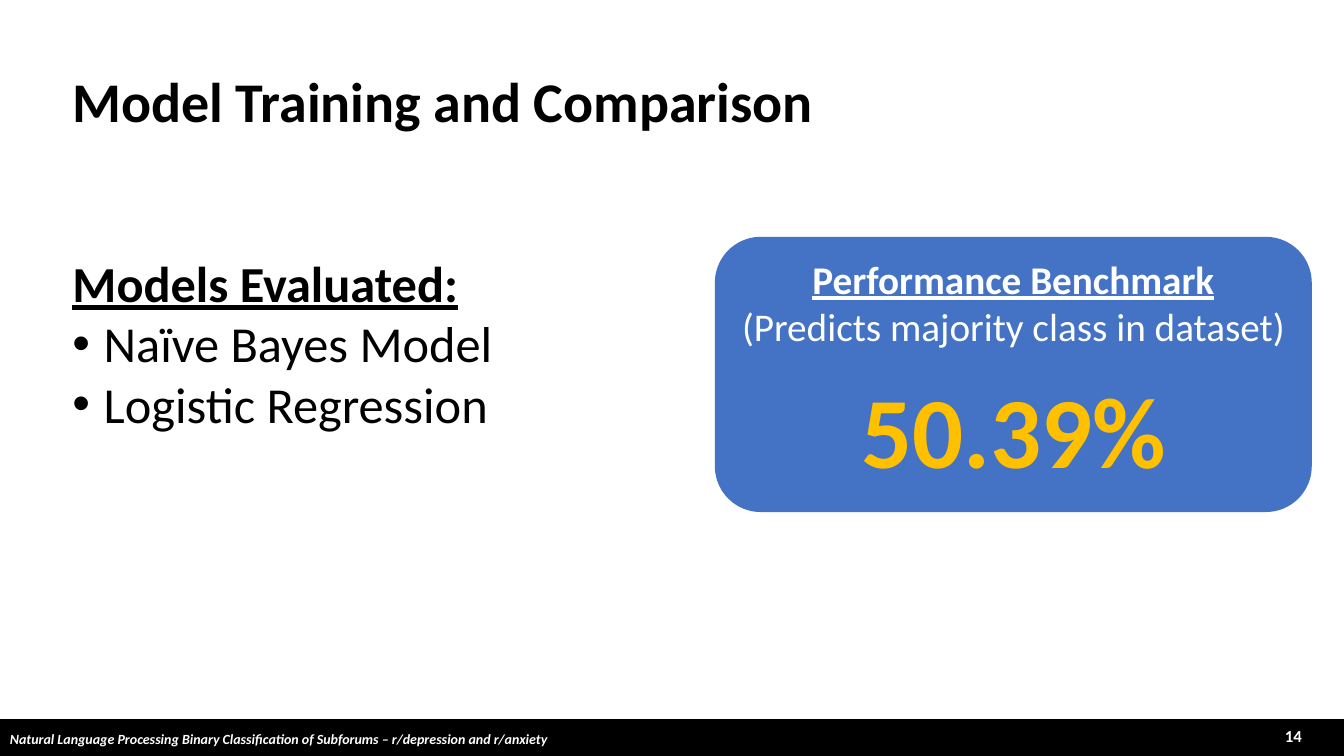
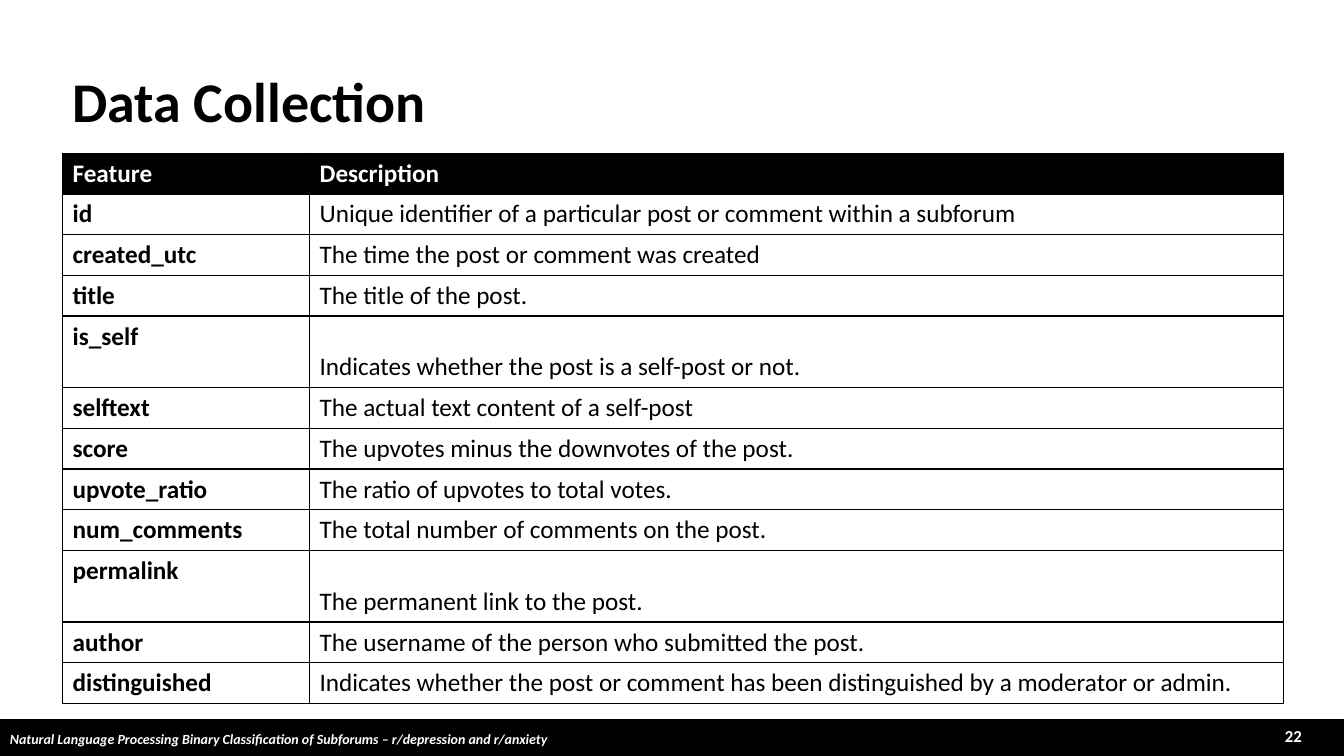
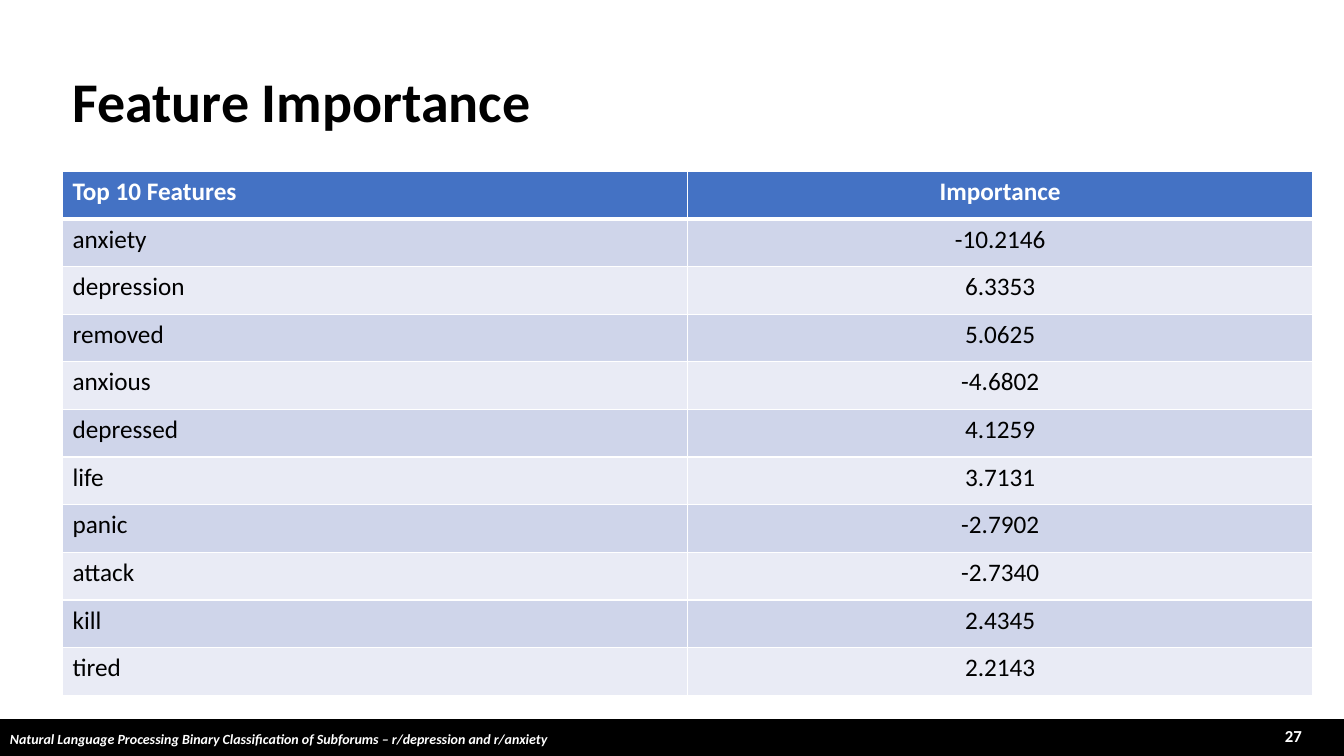
from dataclasses import dataclass, field

from lxml.etree import SubElement
from pptx import Presentation
from pptx.dml.color import RGBColor
from pptx.enum.shapes import MSO_SHAPE as Shape
from pptx.enum.text import MSO_ANCHOR as Anchor, PP_ALIGN as Align
from pptx.oxml.ns import qn
from pptx.util import Inches, Pt

FONT = "Calibri"
BLACK, WHITE, BLUE, GOLD = "000000", "FFFFFF", "4472C4", "FFC000"
BANDS = ("CFD5EA", "E9EBF5")
MARGIN = 0.62
WIDTH, HEIGHT = 13.33, 7.5
FOOTER = ("Natural Language Processing Binary Classification of Subforums"
          " – r/depression and r/anxiety")


@dataclass(frozen=True)
class Para:
    text: str
    size: float
    color: str = BLACK
    bold: bool = False
    italic: bool = False
    underline: bool = False
    align: Align = Align.LEFT
    bullet: bool = False


@dataclass(frozen=True)
class TableSpec:
    top: float
    columns: tuple[float, ...]
    heights: list[float]
    rows: list[tuple[str, str]]
    header_fill: str
    border: str
    header_rule: float = 1
    bands: tuple[str, ...] = ()
    bold_first: bool = False
    aligns: tuple[Align, ...] = (Align.LEFT, Align.LEFT)
    bottom_rows: set[int] = field(default_factory=set)


def rgb(value: str) -> RGBColor:
    return RGBColor.from_string(value)


def write(tf, paras: list[Para]) -> None:
    """Fill a text frame, one run per paragraph."""
    tf.word_wrap = True
    for i, item in enumerate(paras):
        p = tf.add_paragraph() if i else tf.paragraphs[0]
        p.alignment = item.align
        if item.bullet:
            pPr = p._p.get_or_add_pPr()
            pPr.set("marL", str(Inches(0.31)))
            pPr.set("indent", str(-Inches(0.31)))
            SubElement(pPr, qn("a:buFont")).set("typeface", "Arial")
            SubElement(pPr, qn("a:buChar")).set("char", "•")
        r = p.add_run()
        r.text = item.text
        r.font.name = FONT
        r.font.size = Pt(item.size)
        r.font.bold = item.bold
        r.font.italic = item.italic
        r.font.underline = item.underline
        r.font.color.rgb = rgb(item.color)


def add_text(shapes, x: float, y: float, w: float, h: float,
             paras: list[Para], anchor: Anchor = Anchor.TOP) -> None:
    tf = shapes.add_textbox(Inches(x), Inches(y), Inches(w), Inches(h)).text_frame
    tf.vertical_anchor = anchor
    write(tf, paras)


def add_box(shapes, kind: Shape, x: float, y: float, w: float, h: float, fill: str):
    sp = shapes.add_shape(kind, Inches(x), Inches(y), Inches(w), Inches(h))
    sp.shadow.inherit = False
    sp.fill.solid()
    sp.fill.fore_color.rgb = rgb(fill)
    sp.line.fill.background()
    return sp


def set_borders(cell, color: str, top: float, bottom: float) -> None:
    tcPr = cell._tc.get_or_add_tcPr()
    for side, width in (("L", 1), ("R", 1), ("T", top), ("B", bottom)):
        ln = SubElement(tcPr, qn(f"a:ln{side}"), w=str(Pt(width)))
        fill = SubElement(ln, qn("a:solidFill"))
        SubElement(fill, qn("a:srgbClr"), val=color)


def add_table(s, spec: TableSpec) -> None:
    frame = s.shapes.add_table(
        len(spec.rows), len(spec.columns), Inches(MARGIN), Inches(spec.top),
        Inches(sum(spec.columns)), Inches(sum(spec.heights)))
    table = frame.table
    table.horz_banding = False
    for column, width in zip(table.columns, spec.columns):
        column.width = Inches(width)
    for i, (row, height, texts) in enumerate(zip(table.rows, spec.heights, spec.rows)):
        row.height = Inches(height)
        header = i == 0
        for j, (cell, text) in enumerate(zip(row.cells, texts)):
            set_borders(cell, spec.border,
                        top=spec.header_rule if i == 1 else 1,
                        bottom=spec.header_rule if header else 1)
            if header or spec.bands:
                cell.fill.solid()
                cell.fill.fore_color.rgb = rgb(
                    spec.header_fill if header else spec.bands[(i - 1) % len(spec.bands)])
            else:
                cell.fill.background()
            if j == 1 and i in spec.bottom_rows:
                cell.vertical_anchor = Anchor.BOTTOM
            write(cell.text_frame, [Para(
                text, 18, WHITE if header else BLACK,
                bold=header or (spec.bold_first and j == 0), align=spec.aligns[j])])


def add_slide(prs, title: str, number: int):
    """Add a blank slide with the shared footer band and title."""
    s = prs.slides.add_slide(prs.slide_layouts[6])
    band = add_box(s.shapes, Shape.RECTANGLE, 0, 7.14, WIDTH, 0.36, BLACK)
    band.line.color.rgb = rgb(BLACK)
    band.line.width = Pt(1)
    add_text(s.shapes, 0, 7.2, 8.15, 0.27,
             [Para(FOOTER, 10, WHITE, bold=True, italic=True)])
    add_text(s.shapes, 10.01, 7.1, 3, 0.4,
             [Para(str(number), 12, WHITE, bold=True, align=Align.RIGHT)], Anchor.MIDDLE)
    add_text(s.shapes, MARGIN, 0.61, 10.91, 0.77, [Para(title, 40, bold=True)])
    return s


def build_models(prs) -> None:
    s = add_slide(prs, "Model Training and Comparison", 14)
    add_text(s.shapes, MARGIN, 2.45, 7.38, 1.92, [
        Para("Models Evaluated:", 36, bold=True, underline=True),
        Para("Naïve Bayes Model", 36, bullet=True),
        Para("Logistic Regression", 36, bullet=True)])

    # Benchmark card
    card = s.shapes.add_group_shape().shapes
    panel = add_box(card, Shape.ROUNDED_RECTANGLE, 7.09, 2.35, 5.92, 2.73, BLUE)
    panel.text_frame.vertical_anchor = Anchor.TOP
    write(panel.text_frame, [
        Para("Performance Benchmark", 28, WHITE, bold=True, underline=True,
             align=Align.CENTER),
        Para("(Predicts majority class in dataset)", 28, WHITE, align=Align.CENTER)])
    add_text(card, 7.78, 3.6, 4.55, 1.31,
             [Para("50.39%", 72, GOLD, bold=True, align=Align.CENTER)])


def build_collection(prs) -> None:
    s = add_slide(prs, "Data Collection", 22)
    rows = [
        ("Feature", "Description"),
        ("id", "Unique identifier of a particular post or comment within a subforum"),
        ("created_utc", "The time the post or comment was created"),
        ("title", "The title of the post."),
        ("is_self", "Indicates whether the post is a self-post or not."),
        ("selftext", "The actual text content of a self-post"),
        ("score", "The upvotes minus the downvotes of the post."),
        ("upvote_ratio", "The ratio of upvotes to total votes."),
        ("num_comments", "The total number of comments on the post."),
        ("permalink", "The permanent link to the post."),
        ("author", "The username of the person who submitted the post."),
        ("distinguished", "Indicates whether the post or comment has been "
                          "distinguished by a moderator or admin."),
    ]
    # Two tall rows; the others share the remaining height
    tall_rows, tall, total = {4, 9}, 0.71, 5.46
    normal = (total - tall * len(tall_rows)) / (len(rows) - len(tall_rows))
    heights = [tall if i in tall_rows else normal for i in range(len(rows))]
    add_table(s, TableSpec(1.52, (2.45, 9.66), heights, rows, BLACK, BLACK,
                           bold_first=True, bottom_rows=tall_rows))


def build_importance(prs) -> None:
    s = add_slide(prs, "Feature Importance", 27)
    rows = [
        ("Top 10 Features", "Importance"),
        ("anxiety", "-10.2146"),
        ("depression", "6.3353"),
        ("removed", "5.0625"),
        ("anxious", "-4.6802"),
        ("depressed", "4.1259"),
        ("life", "3.7131"),
        ("panic", "-2.7902"),
        ("attack", "-2.7340"),
        ("kill", "2.4345"),
        ("tired", "2.2143"),
    ]
    heights = [5.2 / len(rows)] * len(rows)
    add_table(s, TableSpec(1.7, (6.2, 6.2), heights, rows, BLUE, WHITE,
                           header_rule=3, bands=BANDS,
                           aligns=(Align.LEFT, Align.CENTER)))


def main() -> None:
    prs = Presentation()
    prs.slide_width, prs.slide_height = Inches(WIDTH), Inches(HEIGHT)
    build_models(prs)
    build_collection(prs)
    build_importance(prs)
    prs.save("out.pptx")


if __name__ == "__main__":
    main()
